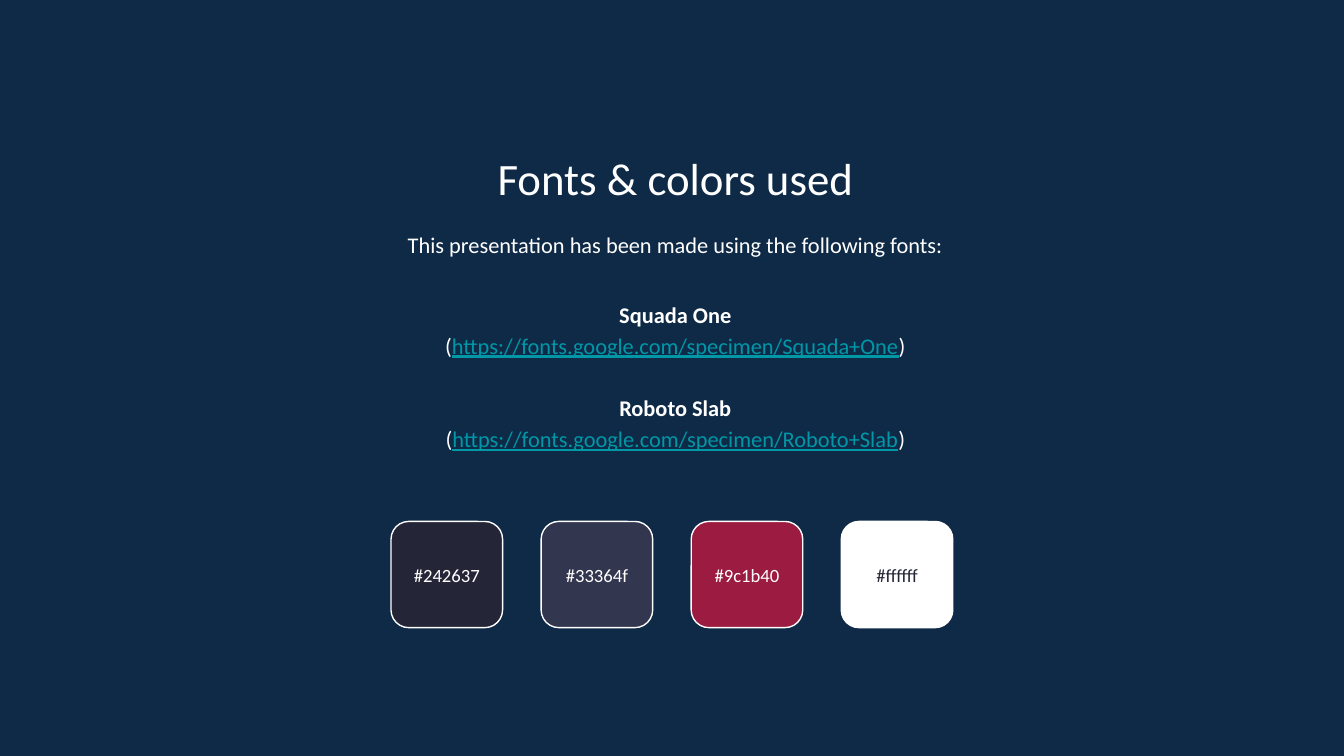
from pptx import Presentation
from pptx.dml.color import RGBColor
from pptx.enum.shapes import MSO_SHAPE
from pptx.enum.text import MSO_ANCHOR, MSO_AUTO_SIZE, PP_ALIGN
from pptx.util import Inches, Pt
from lxml.etree import SubElement
from pptx.oxml.ns import qn

NAVY = RGBColor(0x0E, 0x2A, 0x47)
WHITE = RGBColor(0xFF, 0xFF, 0xFF)
TEAL = RGBColor(0x00, 0x97, 0xA7)
INK = RGBColor(0x24, 0x26, 0x37)
SLATE = RGBColor(0x33, 0x36, 0x4F)
WINE = RGBColor(0x9C, 0x1B, 0x40)

FONTS = [
    ("Squada One", "https://fonts.google.com/specimen/Squada+One"),
    ("Roboto Slab", "https://fonts.google.com/specimen/Roboto+Slab"),
]
COLORS = [INK, SLATE, WINE, WHITE]


def write(para, text, size=12, color=WHITE, bold=False, line=False):
    """Add a run of text in the given format."""
    run = para.add_run()
    run.text = text
    font = run.font
    font.name = "Calibri"
    font.size = Pt(size)
    font.color.rgb = color
    font.bold = bold
    font.underline = line


class Sheet:
    """Hold the style and the current slide."""

    def __init__(self, deck):
        self.slide = deck.slides.add_slide(deck.slide_layouts[1])
        fill = self.slide.background.fill
        fill.solid()
        fill.fore_color.rgb = NAVY

    def frame(self, shape, anchor=MSO_ANCHOR.TOP):
        frame = shape.text_frame
        frame.word_wrap = True
        frame.auto_size = MSO_AUTO_SIZE.NONE
        frame.vertical_anchor = anchor
        frame.margin_left = frame.margin_right = Inches(0.1)
        frame.margin_top = frame.margin_bottom = Inches(0.1)
        return frame

    def place(self, shape, top, high):
        shape.left, shape.top = Inches(1.17), Inches(top)
        shape.width, shape.height = Inches(7.71), Inches(high)

    def para(self, frame, first=True, gap=0, lead=1.15):
        para = frame.paragraphs[0] if first else frame.add_paragraph()
        para.alignment = PP_ALIGN.CENTER
        para.line_spacing = lead
        para.space_before = Pt(gap)
        return para

    def title(self, text, top, high):
        shape = self.slide.shapes.title
        self.place(shape, top, high)
        write(self.para(self.frame(shape), lead=1.0), text, size=24)

    def intro(self, text, top, high):
        shape = self.slide.shapes.add_textbox(0, 0, 0, 0)
        self.place(shape, top, high)
        write(self.para(self.frame(shape)), text)

    def fonts(self, items, top, high):
        shape = self.slide.placeholders[1]
        self.place(shape, top, high)
        frame = self.frame(shape, MSO_ANCHOR.MIDDLE)
        for i, (name, link) in enumerate(items):
            head = self.para(frame, first=i == 0, gap=16.8 if i else 0)
            write(head, name, bold=True)
            row = self.para(frame, first=False)
            write(row, "(")
            write(row, link, color=TEAL, line=True)
            write(row, ")")
        for para in frame.paragraphs:
            props = para._p.get_or_add_pPr()
            props.set("marL", "0")
            props.set("indent", "0")
            SubElement(props, qn("a:buNone"))

    def swatch(self, color, left, top):
        shapes = self.slide.shapes
        left, wide = Inches(left), Inches(0.83)
        tile = shapes.add_shape(MSO_SHAPE.ROUNDED_RECTANGLE,
                                left, Inches(top), wide, Inches(0.79))
        tile.shadow.inherit = False
        tile.fill.solid()
        tile.fill.fore_color.rgb = color
        tile.line.color.rgb = WHITE
        tile.line.width = Pt(0.75)
        label = shapes.add_textbox(left, Inches(top + 0.17),
                                   wide, Inches(0.46))
        para = self.para(self.frame(label, MSO_ANCHOR.MIDDLE), lead=1.0)
        ink = INK if color == WHITE else WHITE
        write(para, f"#{color}".lower(), size=10, color=ink)


def main():
    deck = Presentation()
    deck.slide_width = Inches(10)
    deck.slide_height = deck.slide_width * 9 // 16
    sheet = Sheet(deck)
    sheet.title("Fonts & colors used", 1.02, 0.53)
    sheet.intro("This presentation has been made using the following fonts:",
                1.59, 0.48)
    sheet.fonts(FONTS, 2.1, 1.37)
    step = (6.26 - 2.91) / (len(COLORS) - 1)
    for i, color in enumerate(COLORS):
        sheet.swatch(color, 2.91 + i * step, 3.88)
    deck.save("out.pptx")


if __name__ == "__main__":
    main()
